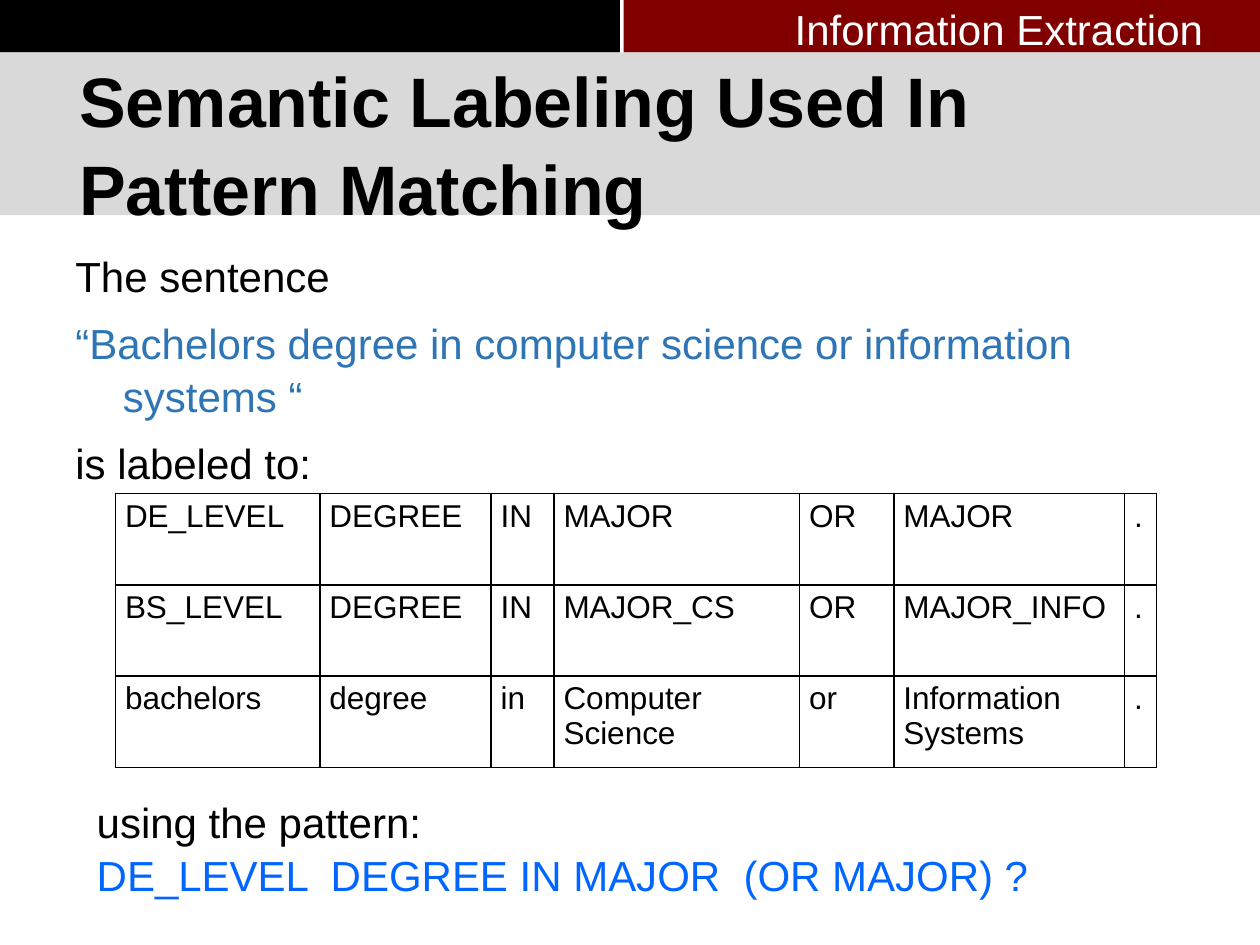
from lxml import etree
from pptx import Presentation
from pptx.dml.color import RGBColor
from pptx.enum.shapes import MSO_SHAPE
from pptx.enum.text import MSO_ANCHOR
from pptx.oxml.ns import qn
from pptx.util import Cm, Pt

RECTANGLE = MSO_SHAPE.RECTANGLE
TOP, MIDDLE = MSO_ANCHOR.TOP, MSO_ANCHOR.MIDDLE

COLORS = {
    "black": "000000",
    "white": "FFFFFF",
    "maroon": "800000",
    "band": "D9D9D9",
    "sentence": "2E75B6",
    "pattern": "0066FF",
}
FONT = "Arial"
LINE_SPACING = 1.05
HANGING = Cm(0.96)

LABEL_ROWS = [
    ["DE_LEVEL", "DEGREE", "IN", "MAJOR", "OR", "MAJOR", "."],
    ["BS_LEVEL", "DEGREE", "IN", "MAJOR_CS", "OR", "MAJOR_INFO", "."],
    ["bachelors", "degree", "in", "Computer Science", "or",
     "Information Systems", "."],
]
LABEL_WIDTHS = [4.12, 3.45, 1.27, 4.95, 1.9, 4.65, 0.64]
LABEL_ROW_HEIGHT = 1.84
CELL_FORMAT = {
    "margin_left": Cm(0.19),
    "margin_right": Cm(0.19),
    "margin_top": Cm(0.1),
    "margin_bottom": Cm(0.1),
    "vertical_anchor": TOP,
}


def color(name):
    return RGBColor.from_string(COLORS[name])


def style_font(paragraph, size, color_name, bold=False):
    values = {"name": FONT, "size": Pt(size), "bold": bold}
    for attribute, value in values.items():
        setattr(paragraph.font, attribute, value)
    paragraph.font.color.rgb = color(color_name)


def add_bar(slide, box, color_name):
    bar = slide.shapes.add_shape(RECTANGLE, *map(Cm, box))
    bar.shadow.inherit = False
    bar.fill.solid()
    bar.fill.fore_color.rgb = color(color_name)
    bar.line.fill.background()


def add_lines(slide, box, lines, size=24, bold=False, anchor=TOP, wrap=True,
              gap=0, hanging=False):
    """Add a text box with one paragraph for each (text, colour name)."""
    frame = slide.shapes.add_textbox(*map(Cm, box)).text_frame
    frame.word_wrap = wrap
    frame.vertical_anchor = anchor
    for index, (text, color_name) in enumerate(lines):
        paragraph = frame.paragraphs[0] if index == 0 else frame.add_paragraph()
        paragraph.text = text
        paragraph.line_spacing = LINE_SPACING
        if index and gap:
            paragraph.space_before = Pt(gap)
        if hanging:
            properties = paragraph._p.get_or_add_pPr()
            properties.set("marL", str(HANGING))
            properties.set("indent", str(-HANGING))
        style_font(paragraph, size, color_name, bold)


def add_header(slide, left, top, width):
    bar_height, split, gutter = 1.06, 12.5, 0.07
    right_start = split + gutter
    add_bar(slide, (left, top, split, bar_height), "black")
    add_bar(slide, (left + right_start, top, width - right_start, bar_height),
            "maroon")
    add_bar(slide, (left, top + bar_height, width, 3.28), "band")
    add_lines(slide, (left + 15.77, top - 0.1, 8.84, 1.27),
              [("Information Extraction", "white")], wrap=False)
    add_lines(slide, (left + 1.35, top + 1.47, 20.4, 2.77),
              [("Semantic Labeling Used In Pattern Matching", "black")],
              size=40, bold=True, anchor=MIDDLE)


def add_sentence(slide, box):
    lines = [
        ("The sentence", "black"),
        ("“Bachelors degree in computer science or information systems “",
         "sentence"),
        ("is labeled to:", "black"),
    ]
    add_lines(slide, box, lines, gap=8, hanging=True)


def add_cell_borders(cell):
    properties = cell._tc.get_or_add_tcPr()
    for index, side in enumerate(("a:lnL", "a:lnR", "a:lnT", "a:lnB")):
        border = etree.Element(qn(side), w=str(Pt(1)))
        fill = etree.SubElement(border, qn("a:solidFill"))
        etree.SubElement(fill, qn("a:srgbClr"), val=COLORS["black"])
        properties.insert(index, border)


def add_label_table(slide, left, top):
    size = (sum(LABEL_WIDTHS), LABEL_ROW_HEIGHT * len(LABEL_ROWS))
    table = slide.shapes.add_table(
        len(LABEL_ROWS), len(LABEL_WIDTHS), *map(Cm, (left, top, *size))).table
    table.first_row = False
    table.horz_banding = False
    for column, width in zip(table.columns, LABEL_WIDTHS):
        column.width = Cm(width)
    for row, labels in zip(table.rows, LABEL_ROWS):
        row.height = Cm(LABEL_ROW_HEIGHT)
        for cell, label in zip(row.cells, labels):
            cell.text = label
            for attribute, value in CELL_FORMAT.items():
                setattr(cell, attribute, value)
            style_font(cell.text_frame.paragraphs[0], 18, "black")
            cell.fill.background()
            add_cell_borders(cell)


def add_pattern(slide, box):
    add_lines(slide, box, [
        ("using the pattern:", "black"),
        ("DE_LEVEL  DEGREE IN MAJOR  (OR MAJOR) ?", "pattern"),
    ])


def main():
    presentation = Presentation()
    presentation.slide_width = Cm(25.4)
    presentation.slide_height = Cm(19.05)
    slide = presentation.slides.add_slide(presentation.slide_layouts[6])
    add_header(slide, 0, 0, 25.4)
    add_sentence(slide, (1.27, 4.88, 22.86, 11.23))
    add_label_table(slide, 2.33, 9.95)
    add_pattern(slide, (1.7, 15.88, 20.12, 2.31))
    presentation.save("out.pptx")


if __name__ == "__main__":
    main()
